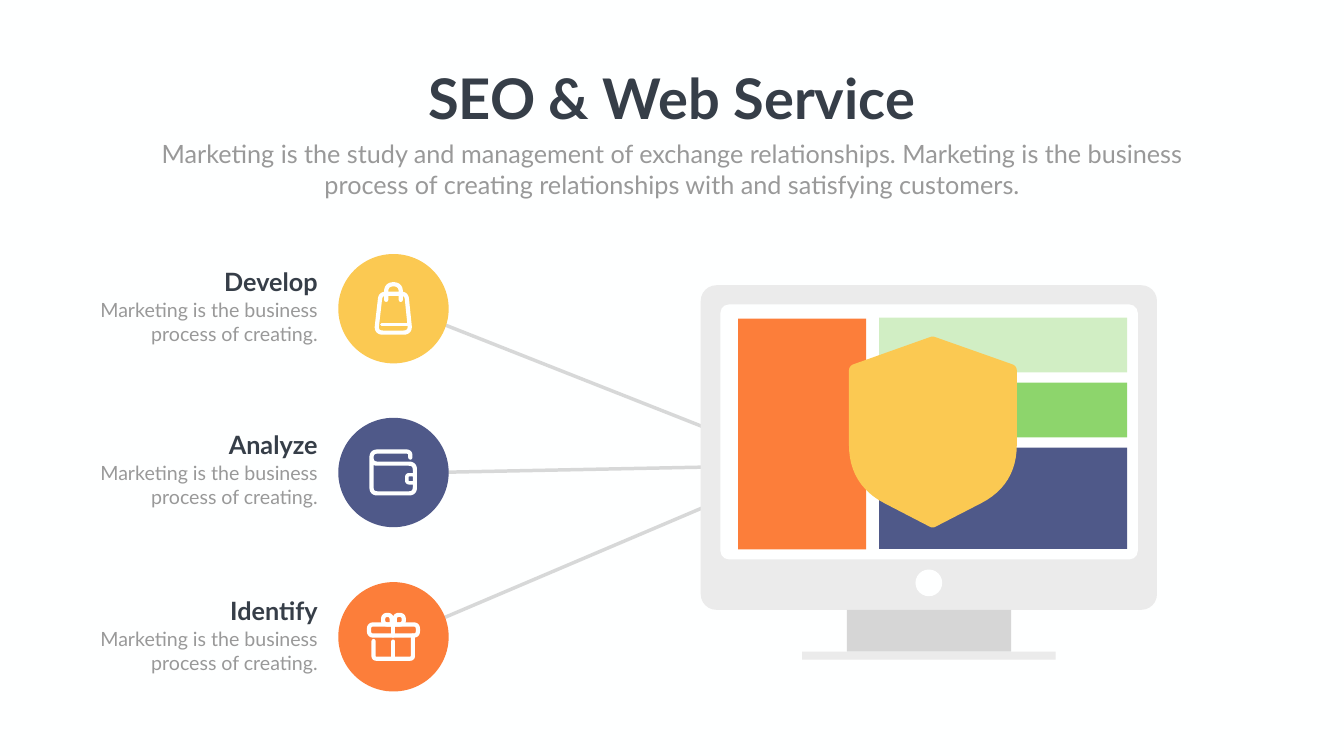
from lxml.etree import SubElement
from pptx import Presentation
from pptx.dml.color import RGBColor
from pptx.enum.shapes import MSO_CONNECTOR, MSO_SHAPE
from pptx.enum.text import MSO_AUTO_SIZE, PP_ALIGN
from pptx.oxml.ns import qn
from pptx.util import Inches, Pt
from math import dist

COLORS = {
    "white": "FEFFFF", "dark": "363E48", "grey": "999999", "link": "808080",
    "case": "EBEBEB", "neck": "D6D6D6", "orange": "FC7E3A", "gold": "FBC952",
    "blue": "4F5989", "mint": "D1EEC4", "green": "8DD56C",
}
FONT = "Lato"

TITLE = "SEO & Web Service"
INTRO = ("Marketing is the study and management of exchange relationships. "
         "Marketing is the business process of creating relationships with "
         "and satisfying customers.")
NOTE = "Marketing is the business process of creating."

BAG = [
    ([(7.55, 5.83, .1), (8.06, 5.83, .1), (8.14, 6.6, .14), (7.46, 6.6, .14)], 6, True),
    ([(7.57, 6.44, 0), (8.12, 6.44, 0)], 4.5, False),
    ([(7.66, 5.95, 0), (7.66, 5.64, .15), (7.95, 5.64, .15), (7.95, 5.95, 0)], 6, False),
]
WALLET = [
    ([(8.14, 9.08, 0), (8.14, 8.96, .08), (7.37, 8.96, .12), (7.37, 9.79, .12),
      (8.23, 9.79, .12), (8.23, 9.2, .12), (7.37, 9.2, .12), (7.37, 9.06, 0)], 6, False),
    ([(8.07, 9.42, .05), (8.23, 9.42, .05), (8.23, 9.58, .05), (8.07, 9.58, .05)], 5, True),
]
GIFT = [
    ([(7.32, 12.39, .09), (8.29, 12.39, .09), (8.29, 12.61, .09), (7.32, 12.61, .09)], 6, True),
    ([(7.41, 12.72, 0), (7.41, 13.07, .06), (8.19, 13.07, .06), (8.19, 12.61, 0)], 6, False),
    ([(7.6, 12.2, .09), (7.77, 12.2, .09), (7.77, 12.39, 0), (7.6, 12.39, .09)], 6, True),
    ([(7.83, 12.2, .09), (8.01, 12.2, .09), (8.01, 12.39, .09), (7.83, 12.39, 0)], 6, True),
    ([(7.8, 12.43, 0), (7.8, 12.61, 0)], 6, False),
    ([(7.8, 12.73, 0), (7.8, 13.03, 0)], 6, False),
]
STEPS = [
    ("Develop", 5.04, 5.24, 4.32, "gold", BAG),
    ("Analyze", 8.29, 8.47, 4.43, "blue", WALLET),
    ("Identify", 11.55, 11.76, 4.46, "orange", GIFT),
]
LINKS = [
    [(7.67, 5.99, 0), (15.9, 9.24, 0), (7.79, 12.69, 0)],
    [(7.8, 9.39, 0), (15.91, 9.23, 0)],
]
SCREEN = [
    (13.9, 5.66, 9.05, 6.44, "case", .31),
    (14.29, 6.04, 8.28, 5.06, "white", .17),
    (16.8, 12.1, 3.26, .83, "neck", 0),
    (15.91, 12.93, 5.03, .16, "case", 0),
    (14.64, 6.32, 2.54, 4.58, "orange", 0),
    (17.44, 6.3, 4.92, 1.09, "mint", 0),
    (17.44, 7.59, 4.92, 1.09, "green", 0),
    (17.44, 8.88, 4.92, 2.01, "blue", 0),
]
SHIELD = [(18.5, 6.67, .05), (20.17, 7.26, .1), (20.17, 9.62, .8),
          (18.5, 10.48, .06), (16.84, 9.62, .8), (16.84, 7.26, .1)]


def color(name):
    return RGBColor.from_string(COLORS[name])


def toward(a, b, r):
    t = r / dist(a, b)
    return tuple(p + (q - p) * t for p, q in zip(a, b))


def bend(points):
    out = []
    for i, (x, y, r) in enumerate(points):
        spot = (x, y)
        if not r:
            out.append(spot)
            continue
        a = toward(spot, points[i - 1][:2], r)
        b = toward(spot, points[(i + 1) % len(points)][:2], r)
        for k in range(13):
            t = k / 12
            out.append(tuple((1 - t) ** 2 * p + 2 * t * (1 - t) * q + t * t * s
                             for p, q, s in zip(a, spot, b)))
    return [(Inches(x), Inches(y)) for x, y in out]


def trace(points, closed):
    first, *rest = bend(points)
    build = shapes.build_freeform(*first)
    build.add_line_segments(rest, close=closed)
    shape = build.convert_to_shape()
    shape.shadow.inherit = False
    return shape


def paint(shape, name):
    shape.shadow.inherit = False
    shape.fill.solid()
    shape.fill.fore_color.rgb = color(name)
    shape.line.fill.background()


def stroke(points, width, closed, name="white", alpha=None):
    if len(points) == 2:
        (a, b), (c, d) = bend(points)
        shape = shapes.add_connector(MSO_CONNECTOR.STRAIGHT, a, b, c, d)
    else:
        shape = trace(points, closed)
        shape.fill.background()
    shape.line.width = Pt(width)
    shape.line.color.rgb = color(name)
    edge = shape.line._get_or_add_ln()
    if alpha:
        tint = edge.find(".//" + qn("a:srgbClr"))
        SubElement(tint, qn("a:alpha")).set("val", str(alpha * 1000))
    else:
        edge.set("cap", "rnd")
    if len(points) == 2:
        SubElement(shape._element.spPr, qn("a:effectLst"))


def block(x, y, w, h, name, r=0):
    kind = MSO_SHAPE.ROUNDED_RECTANGLE if r else MSO_SHAPE.RECTANGLE
    shape = shapes.add_shape(kind, *map(Inches, (x, y, w, h)))
    if r:
        shape.adjustments[0] = r / min(w, h)
    paint(shape, name)


def disc(x, y, w, h, name):
    paint(shapes.add_shape(MSO_SHAPE.OVAL, *map(Inches, (x, y, w, h))), name)


def write(x, y, w, h, text, size, name, align, bold=False):
    frame = shapes.add_textbox(*map(Inches, (x, y, w, h))).text_frame
    frame.word_wrap = not bold
    frame.auto_size = MSO_AUTO_SIZE.SHAPE_TO_FIT_TEXT
    para = frame.paragraphs[0]
    para.alignment = align
    run = para.add_run()
    run.text = text
    font = run.font
    font.name, font.size, font.bold = FONT, Pt(size), bold
    font.color.rgb = color(name)


deck = Presentation()
deck.slide_width, deck.slide_height = Inches(26.66), Inches(15)
slide = deck.slides.add_slide(deck.slide_layouts[6])
slide.background.fill.solid()
slide.background.fill.fore_color.rgb = color("white")
shapes = slide.shapes

for link in LINKS:
    stroke(link, 5, False, "link", 30)
for part in SCREEN:
    block(*part)
disc(18.16, 11.3, .53, .53, "white")
paint(trace(SHIELD, True), "gold")

write(8.28, 1.22, 10.09, 1.45, TITLE, 80, "dark", PP_ALIGN.CENTER, True)
write(2.92, 2.7, 20.82, 1.31, INTRO, 36, "grey", PP_ALIGN.CENTER)
for head, top, line, left, tone, icon in STEPS:
    disc(6.71, top, 2.19, 2.17, tone)
    for part in icon:
        stroke(*part)
    write(1.71, line + .63, 4.69, 1.04, NOTE, 28, "grey", PP_ALIGN.RIGHT)
    write(left, line, 6.4 - left, .71, head, 36, "dark", PP_ALIGN.RIGHT, True)

deck.save("out.pptx")
